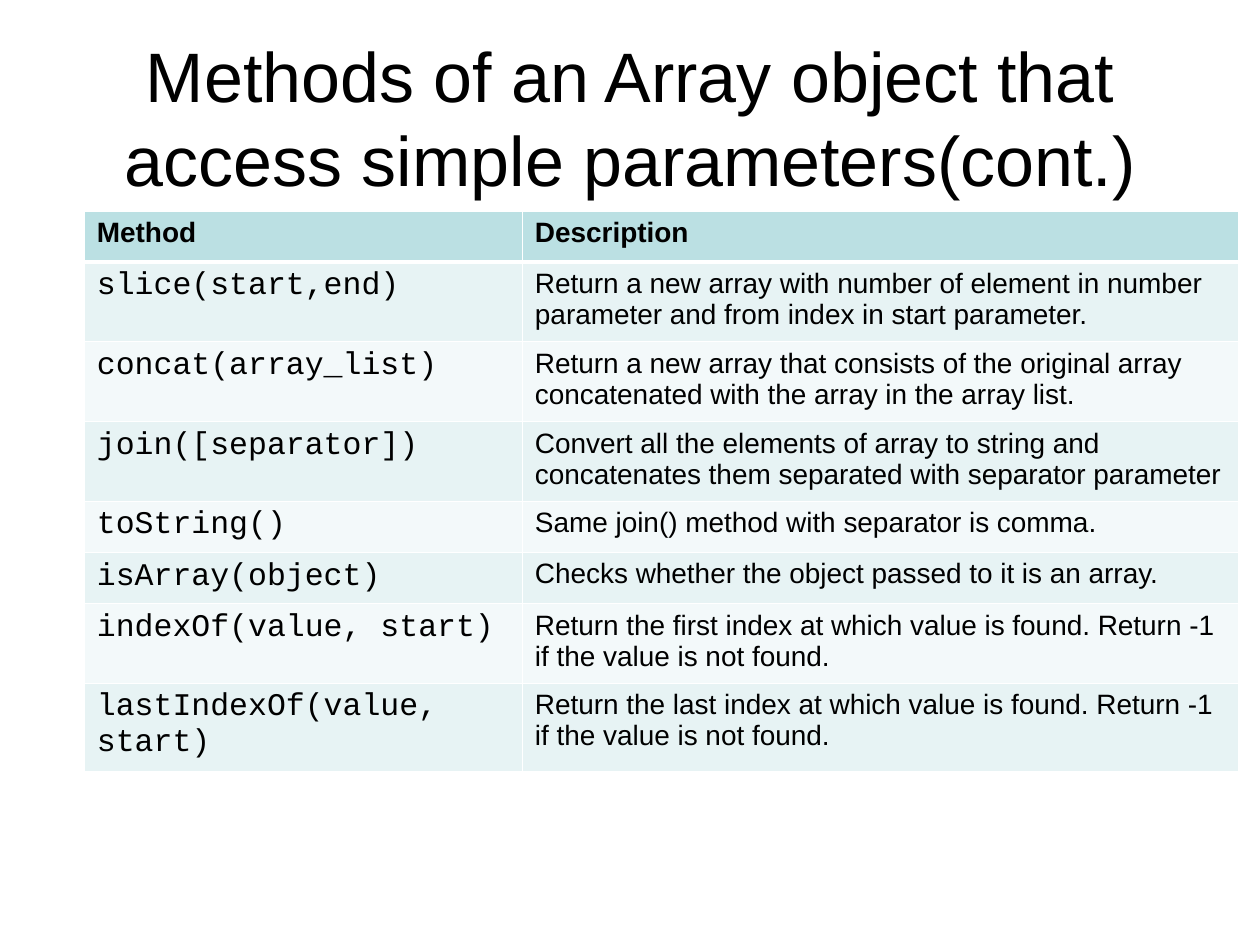
from lxml.etree import SubElement
from pptx import Presentation
from pptx.dml.color import RGBColor as RGB
from pptx.enum.text import MSO_ANCHOR, PP_ALIGN
from pptx.oxml.ns import qn
from pptx.util import Cm, Pt

TITLE = "Methods of an Array object that access simple parameters(cont.)"
HEADER = ("Method", "Description")
METHODS = [
    ("slice(start,end)",
     "Return a new array with number of element in number parameter "
     "and from index in start parameter."),
    ("concat(array_list)",
     "Return a new array that consists of the original array "
     "concatenated with the array in the array list."),
    ("join([separator])",
     "Convert all the elements of array to string and "
     "concatenates them separated with separator parameter"),
    ("toString()", "Same join() method with separator is comma."),
    ("isArray(object)", "Checks whether the object passed to it is an array."),
    ("indexOf(value, start)",
     "Return the first index at which value is found. "
     "Return -1 if the value is not found."),
    ("lastIndexOf(value, start)",
     "Return the last index at which value is found. "
     "Return -1 if the value is not found."),
]
COLORS = {"text": "000000", "line": "FFFFFF", "header": "BBE0E3",
          "odd": "E7F3F4", "even": "F3F9FA"}
COL_WIDTHS = (Cm(8.83), Cm(14.45))
ROW_HEIGHT = Cm(1.03)


def add_run(p, text, size, font="Arial", bold=False):
    r = p.add_run()
    r.text = text
    r.font.name, r.font.size, r.font.bold = font, Pt(size), bold
    r.font.color.rgb = RGB.from_string(COLORS["text"])


def set_borders(cell, top, bottom):
    tc_pr = cell._tc.get_or_add_tcPr()
    for side, width in (("L", 1), ("R", 1), ("T", top), ("B", bottom)):
        ln = SubElement(tc_pr, qn(f"a:ln{side}"), w=str(Pt(width)))
        fill = SubElement(ln, qn("a:solidFill"))
        SubElement(fill, qn("a:srgbClr"), val=COLORS["line"])


prs = Presentation()
prs.slide_width, prs.slide_height = Cm(25.4), Cm(19.05)
s = prs.slides.add_slide(prs.slide_layouts[6])

# Title
tf = s.shapes.add_textbox(Cm(1.27), Cm(0.76), Cm(22.86), Cm(3.18)).text_frame
tf.word_wrap = True
tf.vertical_anchor = MSO_ANCHOR.MIDDLE
p = tf.paragraphs[0]
p.alignment = PP_ALIGN.CENTER
add_run(p, TITLE, 40)

# Method table
rows = [HEADER] + METHODS
table = s.shapes.add_table(len(rows), len(HEADER), Cm(1.7), Cm(4.25),
                           sum(COL_WIDTHS), ROW_HEIGHT * len(rows)).table
for col, width in zip(table.columns, COL_WIDTHS):
    col.width = width
for i, row in enumerate(rows):
    table.rows[i].height = ROW_HEIGHT
    band = "header" if i == 0 else "odd" if i % 2 else "even"
    for j, text in enumerate(row):
        cell = table.cell(i, j)
        # The rule under the header is thicker than the others
        set_borders(cell, top=3 if i == 1 else 1, bottom=3 if i == 0 else 1)
        cell.fill.solid()
        cell.fill.fore_color.rgb = RGB.from_string(COLORS[band])
        p = cell.text_frame.paragraphs[0]
        if i and j == 0:
            add_run(p, text, 18, "Courier New")
        else:
            add_run(p, text, 16, bold=i == 0)

prs.save("out.pptx")
